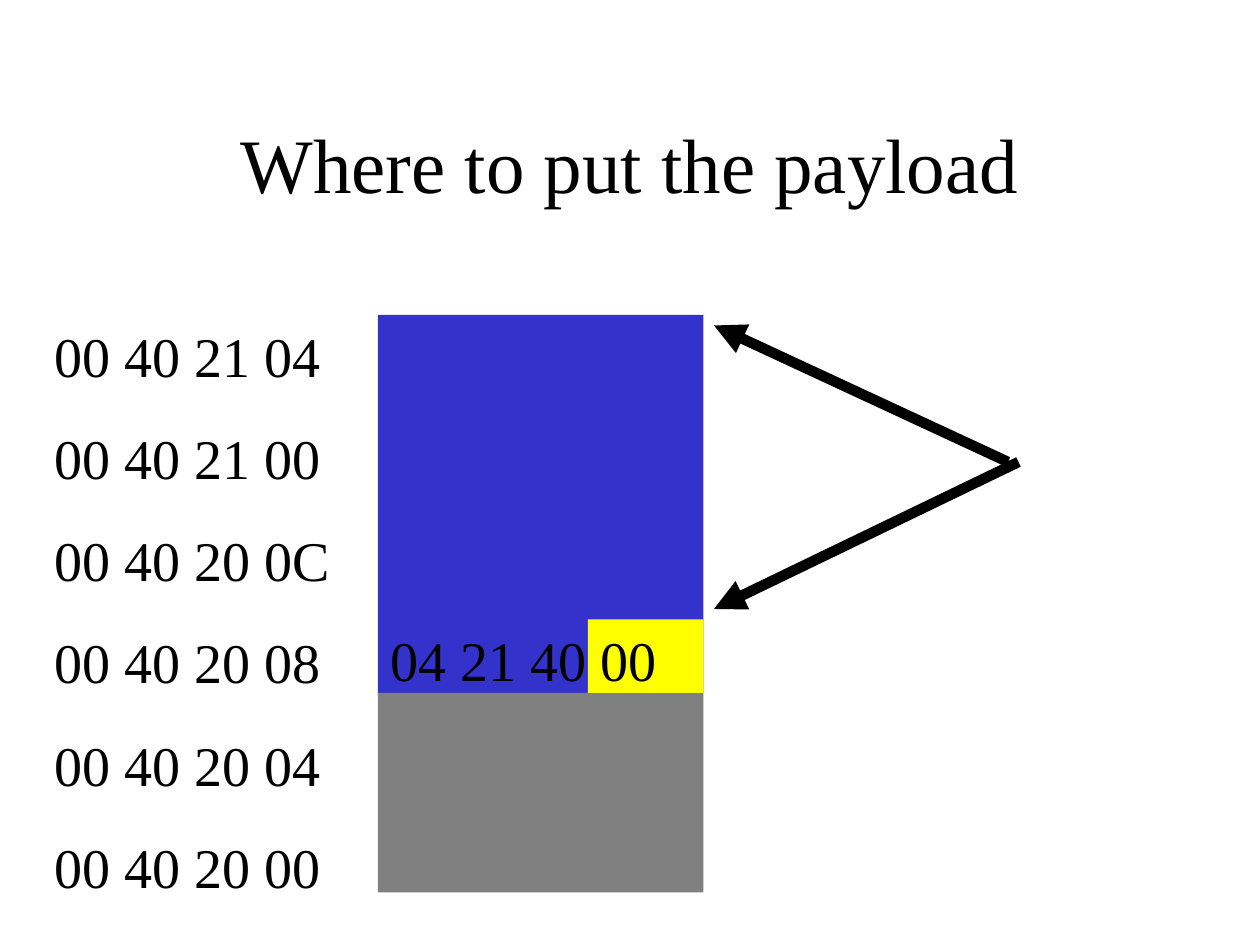
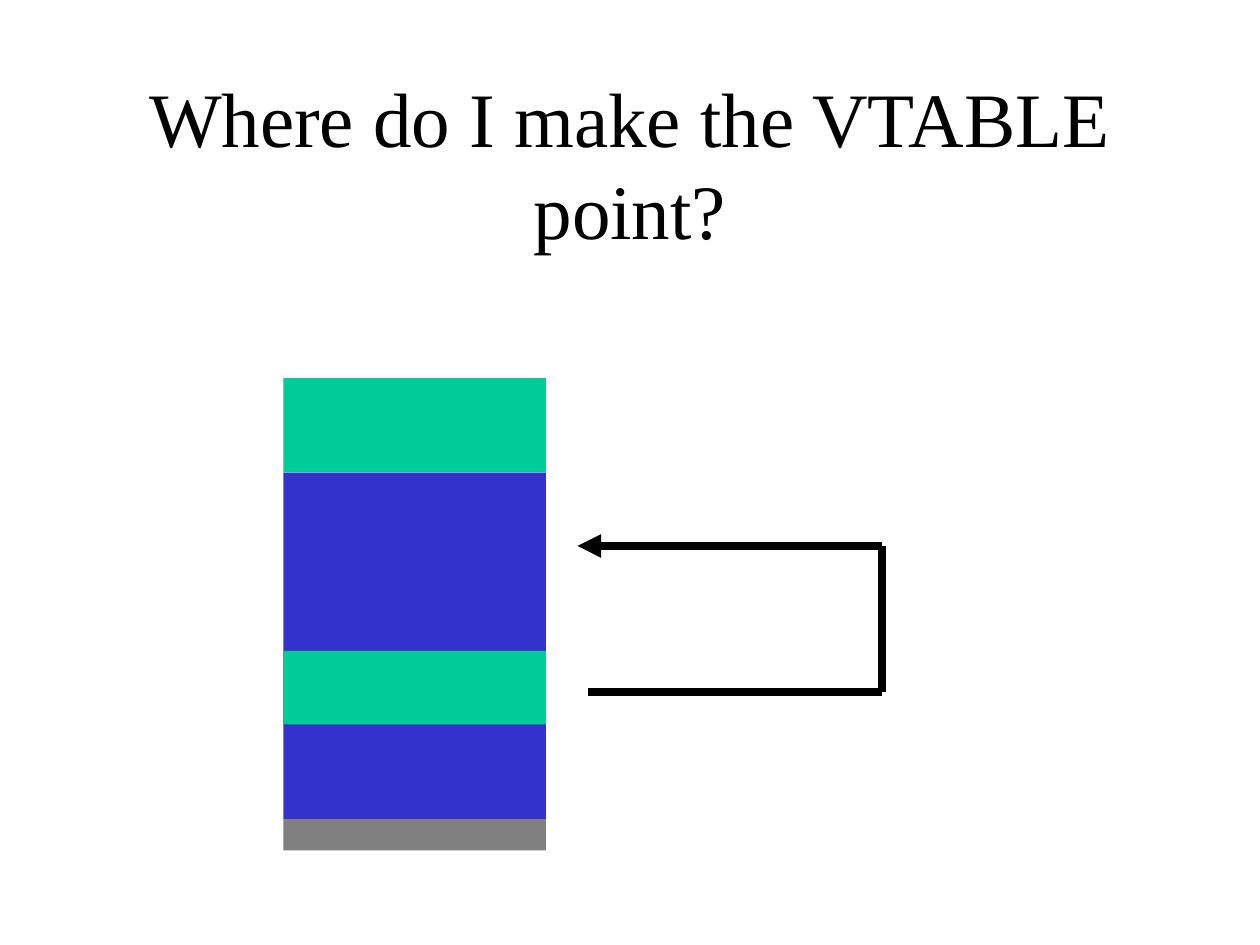
from dataclasses import dataclass

from pptx import Presentation
from pptx.dml.color import RGBColor
from pptx.enum.shapes import MSO_CONNECTOR, MSO_SHAPE
from pptx.enum.text import MSO_ANCHOR, PP_ALIGN
from pptx.oxml.ns import qn
from pptx.util import Inches, Pt

RECT = MSO_SHAPE.RECTANGLE
LINE = MSO_CONNECTOR.STRAIGHT
LEFT, CENTER = PP_ALIGN.LEFT, PP_ALIGN.CENTER
TOP, MIDDLE = MSO_ANCHOR.TOP, MSO_ANCHOR.MIDDLE
UNIT = Inches(1) // 12
COLS, ROWS = 120, 90


@dataclass(frozen=True)
class Theme:
    """Hold the colours, type and line weights of the deck."""
    font: str = "Times New Roman"
    head: int = 44
    body: int = 32
    gap: int = 20
    ink: str = "000000"
    gray: str = "808080"
    blue: str = "3333CC"
    green: str = "00CC99"
    yellow: str = "FFFF00"
    thick: float = 6
    thin: float = 4.5


THEME = Theme()


def units(*cells):
    """Turn grid cells into slide lengths."""
    return [round(cell * UNIT) for cell in cells]


def add_text(slide, area, lines, size=THEME.body, align=LEFT, anchor=TOP, gap=0):
    """Write one paragraph per line in a box on the grid."""
    frame = slide.shapes.add_textbox(*units(*area)).text_frame
    frame.word_wrap = True
    frame.vertical_anchor = anchor
    for row, line in enumerate(lines):
        para = frame.paragraphs[0] if row == 0 else frame.add_paragraph()
        para.alignment = align
        para.space_before = Pt(gap)
        run = para.add_run()
        run.text = line
        run.font.name = THEME.font
        run.font.size = Pt(size)
        run.font.color.rgb = RGBColor.from_string(THEME.ink)


def add_title(slide, text):
    """Write the centred slide title."""
    add_text(slide, (9, 8, COLS - 18, 15), [text], size=THEME.head,
             align=CENTER, anchor=MIDDLE)


def add_block(slide, area, color):
    """Draw a plain filled block."""
    block = slide.shapes.add_shape(RECT, *units(*area))
    block.shadow.inherit = False
    block.fill.solid()
    block.fill.fore_color.rgb = RGBColor.from_string(color)
    block.line.fill.background()


def add_stack(slide, left, top, width, bands):
    """Pile blocks of memory downward from the top."""
    for height, color in bands:
        add_block(slide, (left, top, width, height), color)
        top += height


def add_line(slide, start, end, weight, arrow=False):
    """Draw a straight line, with an arrowhead at its end if asked."""
    line = slide.shapes.add_connector(LINE, *units(*start, *end))
    line.line.width = Pt(weight)
    line.line.color.rgb = RGBColor.from_string(THEME.ink)
    props = line._element.spPr
    if arrow:
        tail = props.find(qn("a:ln")).makeelement(qn("a:tailEnd"), {"type": "triangle"})
        props.find(qn("a:ln")).append(tail)
    props.append(props.makeelement(qn("a:effectLst"), {}))


def add_route(slide, points, weight):
    """Join points by lines and put an arrowhead on the last one."""
    legs = list(zip(points, points[1:]))
    for step, (start, end) in enumerate(legs, 1):
        add_line(slide, start, end, weight, arrow=step == len(legs))


def payload(slide):
    """Show the addresses and the room for the payload."""
    add_title(slide, "Where to put the payload")
    left, top, width = 36, 30, 31
    ends = ("21 04", "21 00", "20 0C", "20 08", "20 04", "20 00")
    add_text(slide, (4, top, 29, 56.25), [f"00 40 {end}" for end in ends],
             gap=THEME.gap)
    add_stack(slide, left, top, width, [(36, THEME.blue), (19, THEME.gray)])
    add_block(slide, (56, 59, 11, 7), THEME.yellow)
    add_text(slide, (left, 59, width, 7.7), ["04 21 40 00"], gap=THEME.gap)
    add_line(slide, (96, 44), (68, 31), THEME.thick, arrow=True)
    add_line(slide, (97, 44), (68, 58), THEME.thick, arrow=True)


def vtable(slide):
    """Show the pointer that leads back into the payload."""
    add_title(slide, "Where do I make the VTABLE point?")
    left, top, width = 27, 36, 25
    add_stack(slide, left, top, width,
              [(9, THEME.green), (33, THEME.blue), (3, THEME.gray)])
    add_block(slide, (left, 62, width, 7), THEME.green)
    add_route(slide, [(56, 65.9), (84, 65.9), (84, 52), (55, 52)], THEME.thin)


def main():
    """Build and save the deck."""
    deck = Presentation()
    deck.slide_width, deck.slide_height = units(COLS, ROWS)
    for build in (payload, vtable):
        build(deck.slides.add_slide(deck.slide_layouts[6]))
    deck.save("out.pptx")


if __name__ == "__main__":
    main()
